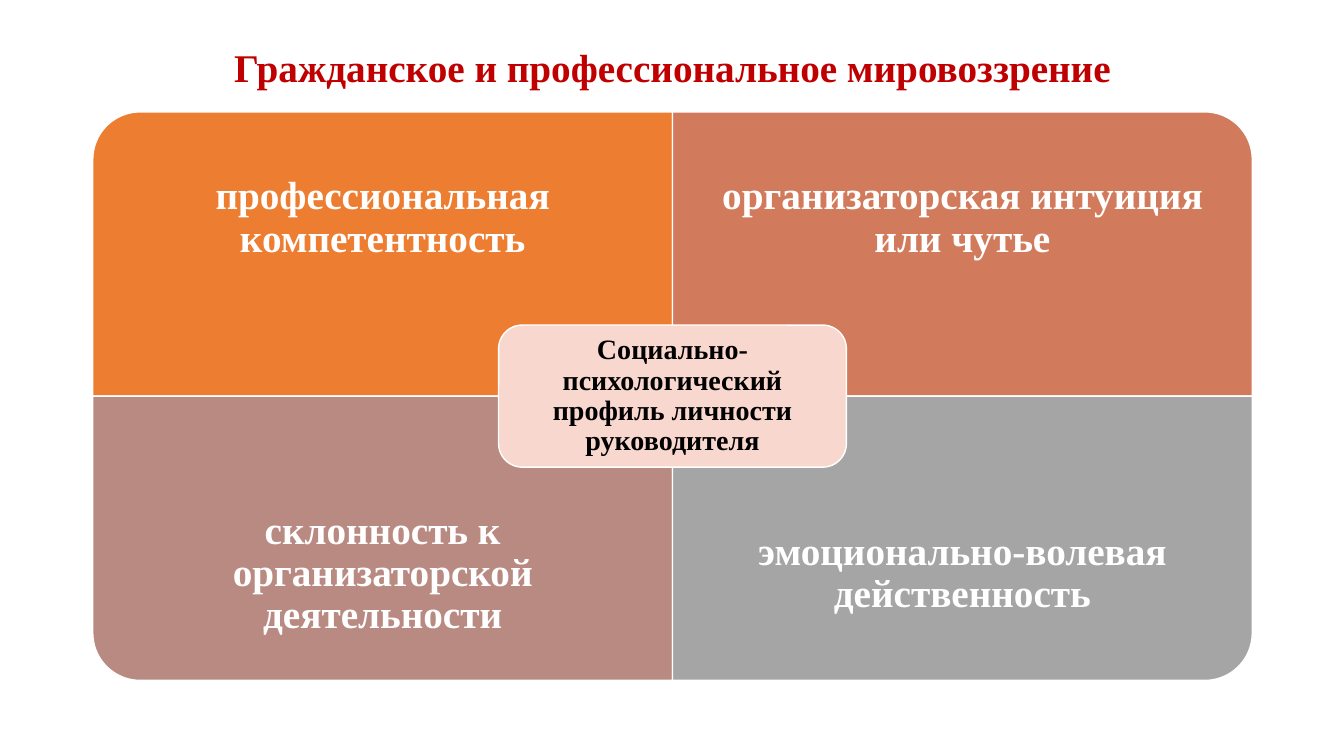
from pptx import Presentation
from pptx.dml.color import RGBColor
from pptx.enum.shapes import MSO_SHAPE
from pptx.enum.text import MSO_ANCHOR, PP_ALIGN
from pptx.util import Inches, Pt

ROUND = MSO_SHAPE.ROUNDED_RECTANGLE
CORNER = MSO_SHAPE.ROUND_1_RECTANGLE
MIDDLE = MSO_ANCHOR.MIDDLE
CENTER = PP_ALIGN.CENTER

LEFT, TOP = 0.92, 1.11
COL, ROW = 5.75, 2.82
WIDTH, HEIGHT = 2 * COL, 2 * ROW

PARTS = [
    (0, 0, 270, "ED7D31", "профессиональная компетентность"),
    (1, 0, 0, "D17B5C", "организаторская интуиция или чутье"),
    (0, 1, 180, "B98A82", "склонность к организаторской деятельности"),
    (1, 1, 90, "A5A5A5", "эмоционально-волевая действенность"),
]


def color(code):
    """Turn a hex string into a colour."""
    return RGBColor.from_string(code)


def write(shape, text, size, code, inset):
    """Set centred bold text in a shape."""
    frame = shape.text_frame
    frame.text = text
    frame.word_wrap = True
    frame.vertical_anchor = MIDDLE
    frame.margin_left = frame.margin_right = Inches(inset)
    frame.margin_top = frame.margin_bottom = Inches(inset)
    for para in frame.paragraphs:
        para.alignment = CENTER
        para.line_spacing = 0.9
        for run in para.runs:
            run.font.name = "Times New Roman"
            run.font.size = Pt(size)
            run.font.bold = True
            run.font.color.rgb = color(code)


def label(slide, box, text, code, inset):
    """Add a text box for a heading."""
    area = slide.shapes.add_textbox(*map(Inches, box))
    write(area, text, 28, code, inset)


def block(slide, kind, mid, size, fill, turn=0):
    """Add a filled shape around a midpoint, turned by quarters."""
    x, y = mid
    w, h = size[::-1] if turn % 180 else size
    box = (x - w / 2, y - h / 2, w, h)
    shape = slide.shapes.add_shape(kind, *map(Inches, box))
    shape.rotation = turn
    shape.shadow.inherit = False
    shape.fill.solid()
    shape.fill.fore_color.rgb = color(fill)
    shape.line.color.rgb = color("FFFFFF")
    shape.line.width = Pt(1)
    return shape


def part(slide, col, row, turn, fill, text):
    """Add one quarter of the matrix with its text."""
    x, y = LEFT + col * COL, TOP + row * ROW
    block(slide, CORNER, (x + COL / 2, y + ROW / 2), (COL, ROW), fill, turn)
    high = ROW * 0.75
    label(slide, (x, y + row * (ROW - high), COL, high), text, "FFFFFF", 0.22)


def main():
    """Build the slide and save it."""
    deck = Presentation()
    deck.slide_width, deck.slide_height = Inches(13.33), Inches(7.5)
    slide = deck.slides.add_slide(deck.slide_layouts[6])
    label(slide, (LEFT, 0.4, WIDTH, 0.59),
          "Гражданское и профессиональное мировоззрение", "C00000", 0.05)
    for item in PARTS:
        part(slide, *item)
    core = block(slide, ROUND, (LEFT + COL, TOP + ROW),
                 (WIDTH * 0.3, HEIGHT * 0.25), "F8D7CE")
    write(core, "Социально-психологический профиль личности руководителя",
          20, "000000", 0.08)
    deck.save("out.pptx")


if __name__ == "__main__":
    main()
